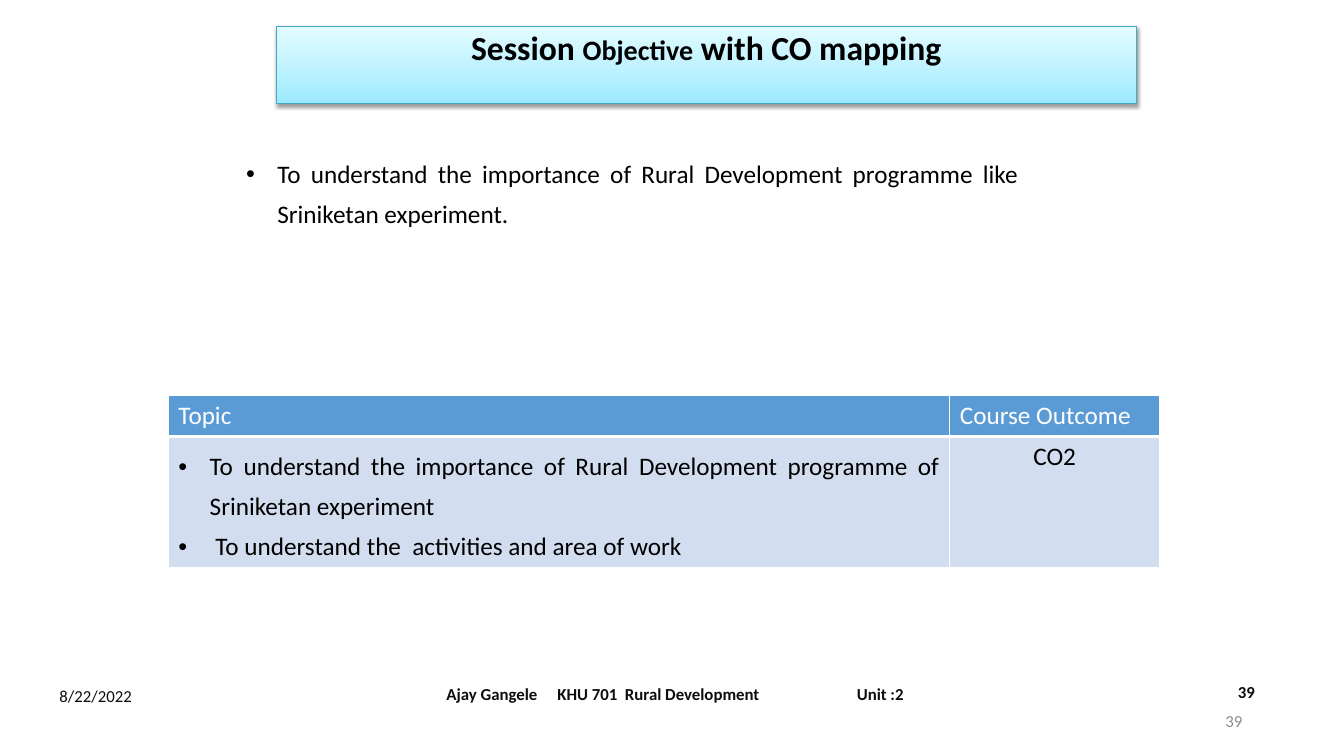
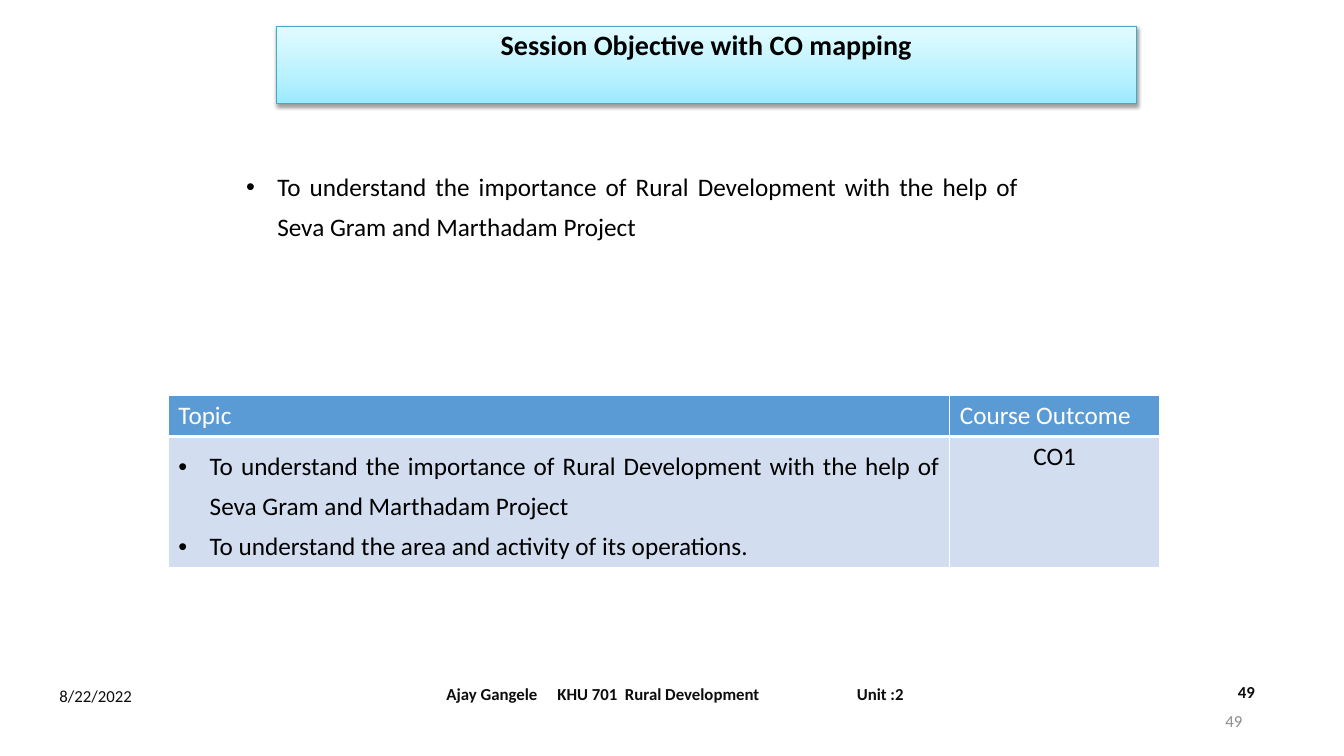
import pptx
import pptx.util
import pptx.dml.color
import pptx.enum.text
import pptx.oxml
import pptx.oxml.ns

Inches = pptx.util.Inches
Pt = pptx.util.Pt
RGBColor = pptx.dml.color.RGBColor
ALIGN = pptx.enum.text.PP_ALIGN
ANCHOR = pptx.enum.text.MSO_ANCHOR

FONT = "Calibri"
BLACK = RGBColor(0x00, 0x00, 0x00)
WHITE = RGBColor(0xFF, 0xFF, 0xFF)
FOOTER_INK = RGBColor(0x0D, 0x0D, 0x0D)
PALE_INK = RGBColor(0x8C, 0x8C, 0x8C)
BAND_LINE = RGBColor(0x45, 0xA9, 0xC4)
BAND_STOPS = [
    (0, RGBColor(0x9B, 0xE9, 0xFF)),
    (35, RGBColor(0xB8, 0xF1, 0xFF)),
    (100, RGBColor(0xE2, 0xFB, 0xFF)),
]
HEADER_FILL = RGBColor(0x5B, 0x9B, 0xD5)
ROW_FILL = RGBColor(0xD2, 0xDE, 0xEF)

DATE = "8/22/2022"
COURSE = "Ajay Gangele\tKHU 701  Rural Development\tUnit :2"
COURSE_TABS = [1.1, 4.07]
HEADINGS = ["Topic", "Course Outcome"]
COLUMN_WIDTHS = [7.75, 2.08]
ROW_HEIGHTS = [0.41, 1.27]

SESSIONS = [
    {
        "title": [("Session ", 24), ("Objective", 20), (" with CO mapping", 24)],
        "objective": "To understand the importance of Rural Development programme like Sriniketan experiment.",
        "objective_box": (2.34, 1.43, 7.86, 0.89),
        "topics": [
            "To understand the importance of Rural Development programme of Sriniketan experiment",
            " To understand the  activities and area of work",
        ],
        "outcome": "CO2",
        "page": "39",
    },
    {
        "title": [("Session Objective with CO mapping", 20)],
        "objective": "To understand the importance of Rural Development with the help of Seva Gram and Marthadam Project",
        "objective_box": (2.34, 1.56, 7.86, 0.86),
        "topics": [
            "To understand the importance of Rural Development with the help of Seva Gram and Marthadam Project",
            "To understand the area and activity of its operations.",
        ],
        "outcome": "CO1",
        "page": "49",
    },
]


def xml(text):
    namespace = pptx.oxml.ns.nsdecls("a")
    return pptx.oxml.parse_xml(text.replace(">", f" {namespace}>", 1))


def place(shape, box):
    shape.left, shape.top, shape.width, shape.height = map(Inches, box)


def style(paragraph, size, color, bold=False, align=ALIGN.LEFT):
    paragraph.alignment = align
    for run in paragraph.runs:
        run.font.name = FONT
        run.font.size = Pt(size)
        run.font.bold = bold
        run.font.color.rgb = color


def write_bullets(frame, items):
    frame.text = "\n".join(items)
    for paragraph in frame.paragraphs:
        style(paragraph, 18, BLACK, align=ALIGN.JUSTIFY)
        paragraph.line_spacing = 1.31
        paragraph.space_before = Pt(0)
        props = paragraph._p.get_or_add_pPr()
        props.set("marL", str(Inches(0.31)))
        props.set("indent", str(-Inches(0.31)))
        props.append(xml(f'<a:buClr><a:srgbClr val="{BLACK}"/></a:buClr>'))
        props.append(xml('<a:buFont typeface="Arial"></a:buFont>'))
        props.append(xml('<a:buChar char="•"></a:buChar>'))


def format_band(title, parts):
    place(title, (2.74, 0.26, 8.53, 0.77))
    stops = "".join(
        f'<a:gs pos="{pos * 1000}"><a:srgbClr val="{color}"/></a:gs>'
        for pos, color in BAND_STOPS
    )
    props = title._element.spPr
    props.append(xml('<a:prstGeom prst="rect"><a:avLst/></a:prstGeom>'))
    props.append(xml(f'<a:gradFill rotWithShape="1"><a:gsLst>{stops}</a:gsLst><a:lin ang="16200000" scaled="0"/></a:gradFill>'))
    title.line.color.rgb = BAND_LINE
    title.line.width = Pt(0.75)
    props.append(xml(
        f'<a:effectLst><a:outerShdw blurRad="{Pt(3.1)}" dist="{Pt(1.6)}" dir="5400000" rotWithShape="0">'
        f'<a:srgbClr val="{BLACK}"><a:alpha val="38000"/></a:srgbClr></a:outerShdw></a:effectLst>'
    ))
    frame = title.text_frame
    frame.auto_size = pptx.enum.text.MSO_AUTO_SIZE.NONE
    frame.vertical_anchor = ANCHOR.TOP
    paragraph = frame.paragraphs[0]
    for text, size in parts:
        run = paragraph.add_run()
        run.text = text
    style(paragraph, 20, BLACK, True, ALIGN.CENTER)
    for run, (text, size) in zip(paragraph.runs, parts):
        run.font.size = Pt(size)
    paragraph.line_spacing = 0.9


def add_label(slide, text, box, color=FOOTER_INK, bold=False, align=ALIGN.LEFT, anchor=ANCHOR.MIDDLE):
    label = slide.shapes.add_textbox(*map(Inches, box))
    frame = label.text_frame
    frame.word_wrap = True
    frame.vertical_anchor = anchor
    frame.text = text
    style(frame.paragraphs[0], 12, color, bold, align)
    return frame.paragraphs[0]


def add_footer(slide, page):
    course = add_label(slide, COURSE, (4.33, 6.68, 5.32, 0.4), bold=True)
    tabs = "".join(f'<a:tab pos="{Inches(pos)}" algn="l"/>' for pos in COURSE_TABS)
    course._p.get_or_add_pPr().append(xml(f"<a:tabLst>{tabs}</a:tabLst>"))
    add_label(slide, DATE, (0.49, 6.66, 2.37, 0.49))
    add_label(slide, page, (12.18, 6.71, 1, 0.41), bold=True, anchor=ANCHOR.TOP)
    add_label(slide, page, (9.42, 6.95, 3, 0.4), PALE_INK, align=ALIGN.RIGHT)


def finish_cell(cell, fill, bottom):
    props = cell._tc.get_or_add_tcPr()
    for side, width in zip("LRTB", (1, 1, 1, bottom)):
        props.append(xml(
            f'<a:ln{side} w="{Pt(width)}"><a:solidFill><a:srgbClr val="{WHITE}"/></a:solidFill></a:ln{side}>'
        ))
    cell.fill.solid()
    cell.fill.fore_color.rgb = fill


def add_outcomes(slide, topics, outcome):
    box = (1.67, 3.92, sum(COLUMN_WIDTHS), sum(ROW_HEIGHTS))
    outcomes = slide.shapes.add_table(2, 2, *map(Inches, box)).table
    for column, width in zip(outcomes.columns, COLUMN_WIDTHS):
        column.width = Inches(width)
    for row, height in zip(outcomes.rows, ROW_HEIGHTS):
        row.height = Inches(height)
    for index, heading in enumerate(HEADINGS):
        cell = outcomes.cell(0, index)
        cell.text_frame.text = heading
        style(cell.text_frame.paragraphs[0], 18, WHITE)
        finish_cell(cell, HEADER_FILL, 3)
        finish_cell(outcomes.cell(1, index), ROW_FILL, 1)
    outcomes.cell(1, 0).text_frame.text = ""
    write_bullets(outcomes.cell(1, 0).text_frame, topics)
    result = outcomes.cell(1, 1).text_frame
    result.text = outcome
    style(result.paragraphs[0], 18, BLACK, align=ALIGN.CENTER)
    for index in range(2):
        top_line = outcomes.cell(1, index)._tc.tcPr.find(pptx.oxml.ns.qn("a:lnT"))
        top_line.set("w", str(Pt(3)))


def main():
    deck = pptx.Presentation()
    deck.slide_width, deck.slide_height = Inches(13.33), Inches(7.5)
    for session in SESSIONS:
        slide = deck.slides.add_slide(deck.slide_layouts[1])
        format_band(slide.shapes.title, session["title"])
        objective = slide.placeholders[1]
        place(objective, session["objective_box"])
        objective.text_frame.auto_size = pptx.enum.text.MSO_AUTO_SIZE.NONE
        write_bullets(objective.text_frame, [session["objective"]])
        add_outcomes(slide, session["topics"], session["outcome"])
        add_footer(slide, session["page"])
    deck.save("out.pptx")


if __name__ == "__main__":
    main()
